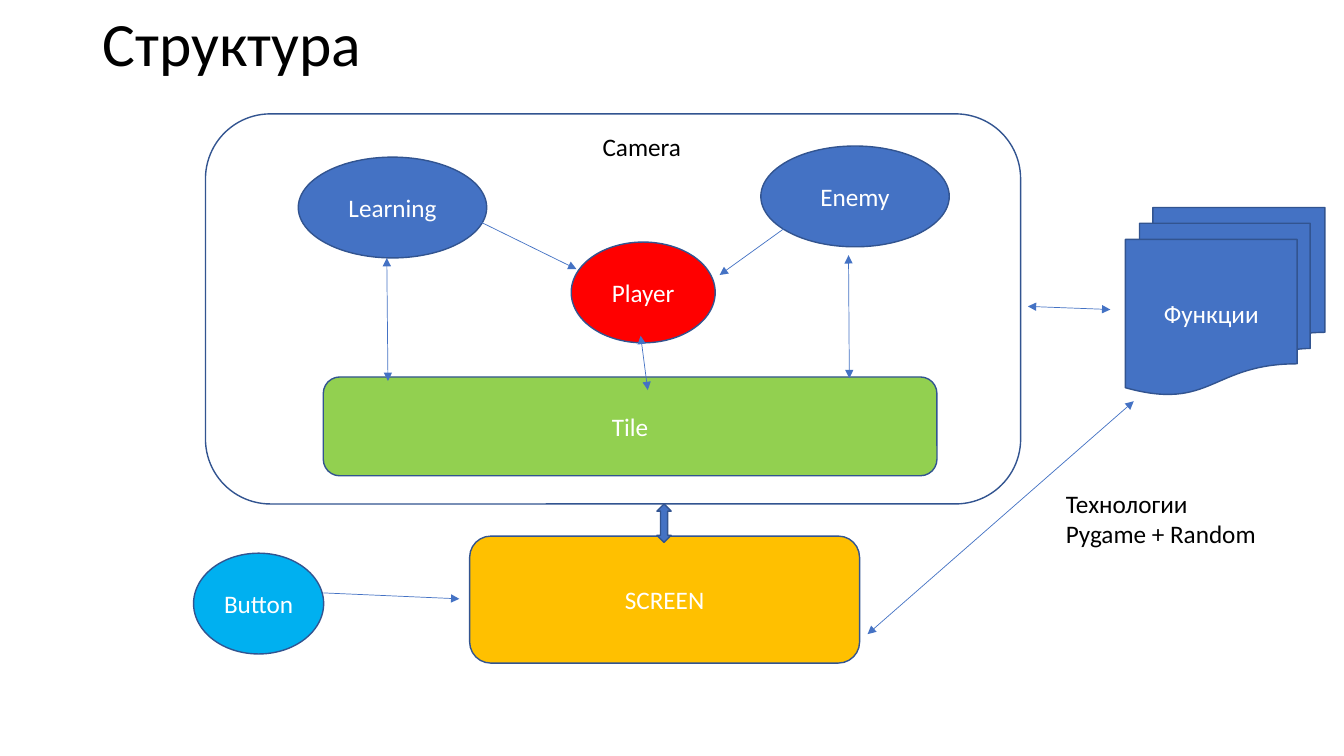
"""Build the structure slide of a small game: its objects, screen and functions."""
from pptx import Presentation
from pptx.dml.color import RGBColor
from pptx.enum.shapes import MSO_CONNECTOR, MSO_SHAPE as Preset
from pptx.enum.text import MSO_ANCHOR as Anchor, PP_ALIGN as Align
from pptx.oxml.ns import qn
from pptx.util import Cm, Pt
from lxml.etree import SubElement

FONT = "Calibri"
BLACK = RGBColor(0x00, 0x00, 0x00)
WHITE = RGBColor(0xFF, 0xFF, 0xFF)
BLUE = RGBColor(0x44, 0x72, 0xC4)
NAVY = RGBColor(0x32, 0x54, 0x90)
RED = RGBColor(0xFF, 0x00, 0x00)
GREEN = RGBColor(0x92, 0xD0, 0x50)
AMBER = RGBColor(0xFF, 0xC0, 0x00)
SKY = RGBColor(0x00, 0xB0, 0xF0)

SLIDE_SIZE = (33.88, 19.05)
TITLE = (["Структура"], (2.34, 1.02, 29.21, 0.33), 44, Anchor.MIDDLE, 0.9)
LABELS = [
    (["Camera"], (14.94, 3.18, 7.62, 1.03), 18, Anchor.TOP, 1),
    (["Технологии", "Pygame + Random"], (26.62, 12.17, 7.62, 1.8), 18, Anchor.TOP, 1),
]
NODES = [
    ("Player", Preset.OVAL, (14.4, 6.1, 3.63, 2.54), RED),
    ("Enemy", Preset.OVAL, (19.18, 3.68, 4.75, 2.54), BLUE),
    ("Learning", Preset.OVAL, (7.52, 3.96, 4.75, 2.54), BLUE),
    ("Tile", Preset.ROUNDED_RECTANGLE, (8.15, 9.5, 15.47, 2.49), GREEN),
    ("", Preset.ROUNDED_RECTANGLE, (5.18, 2.87, 20.55, 9.83), None),
    ("Функции", Preset.FLOWCHART_MULTIDOCUMENT, (28.37, 5.23, 5.03, 4.72), BLUE),
    ("SCREEN", Preset.ROUNDED_RECTANGLE, (11.84, 13.51, 9.83, 3.2), AMBER),
    ("", Preset.UP_DOWN_ARROW, (16.56, 12.7, 0.36, 0.97), BLUE),
    ("Button", Preset.OVAL, (4.88, 13.94, 3.28, 2.54), SKY),
]
ONE_WAY = [
    (20.07, 5.54, 18.14, 6.93),
    (11.13, 5.11, 14.53, 6.78),
    (8.15, 14.94, 11.58, 15.09),
]
TWO_WAY = [
    (21.39, 6.43, 21.41, 9.53),
    (16.15, 8.46, 16.33, 9.83),
    (9.75, 6.5, 9.78, 9.6),
    (25.91, 7.72, 27.99, 7.8),
    (21.87, 15.98, 28.58, 10.11),
]


def lengths(values):
    return [Cm(value) for value in values]


def write(paragraph, text, size, color):
    run = paragraph.add_run()
    run.text = text
    run.font.name, run.font.size = FONT, Pt(size)
    run.font.color.rgb = color


def add_label(slide, lines, place, size, anchor, spacing):
    frame = slide.shapes.add_textbox(*lengths(place)).text_frame
    frame.word_wrap = True
    frame.vertical_anchor = anchor
    paragraph = frame.paragraphs[0]
    paragraph.line_spacing = spacing
    for index, line in enumerate(lines):
        if index:
            paragraph.add_line_break()
        write(paragraph, line, size, BLACK)


def add_node(slide, name, preset, place, color):
    node = slide.shapes.add_shape(preset, *lengths(place))
    node.shadow.inherit = False
    node.line.color.rgb, node.line.width = NAVY, Pt(1)
    if color is None:
        node.fill.background()
    else:
        node.fill.solid()
        node.fill.fore_color.rgb = color
    if name:
        node.text_frame.vertical_anchor = Anchor.MIDDLE
        paragraph = node.text_frame.paragraphs[0]
        paragraph.alignment = Align.CENTER
        write(paragraph, name, 18, WHITE)


def add_arrow(slide, ends, heads):
    arrow = slide.shapes.add_connector(MSO_CONNECTOR.STRAIGHT, *lengths(ends))
    arrow.line.color.rgb, arrow.line.width = BLUE, Pt(0.5)
    outline = arrow.line._get_or_add_ln()
    for head in heads:
        SubElement(outline, qn(head), type="triangle")
    SubElement(arrow._element.spPr, qn("a:effectLst"))


def main():
    deck = Presentation()
    deck.slide_width, deck.slide_height = lengths(SLIDE_SIZE)
    slide = deck.slides.add_slide(deck.slide_layouts[6])
    add_label(slide, *TITLE)
    for node in NODES:
        add_node(slide, *node)
    for ends in ONE_WAY:
        add_arrow(slide, ends, ["a:tailEnd"])
    for ends in TWO_WAY:
        add_arrow(slide, ends, ["a:headEnd", "a:tailEnd"])
    for label in LABELS:
        add_label(slide, *label)
    deck.save("out.pptx")


if __name__ == "__main__":
    main()
